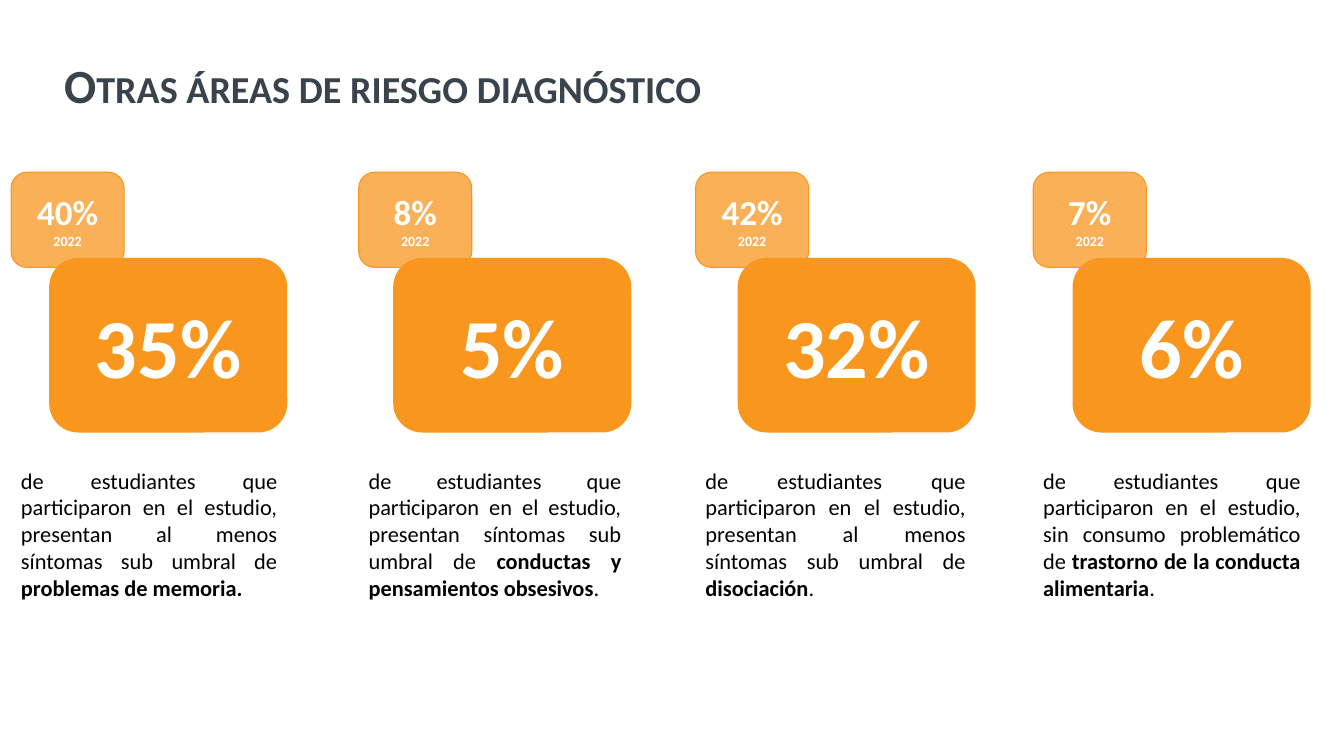
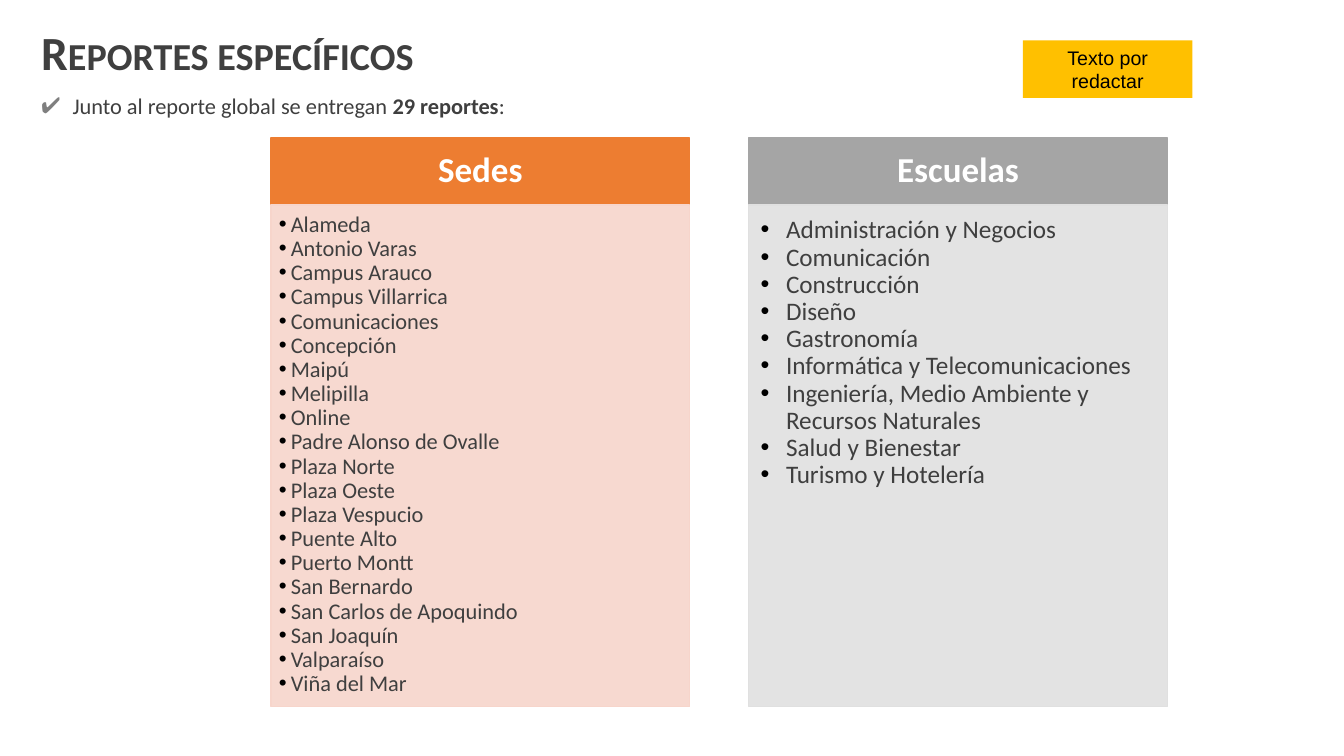
from pptx import Presentation
from pptx.dml.color import RGBColor
from pptx.enum.shapes import MSO_SHAPE
from pptx.enum.text import MSO_ANCHOR, PP_ALIGN
from pptx.oxml.ns import qn
from pptx.util import Cm, Pt
from lxml import etree

RECT, ROUND = MSO_SHAPE.RECTANGLE, MSO_SHAPE.ROUNDED_RECTANGLE
TOP, MIDDLE = MSO_ANCHOR.TOP, MSO_ANCHOR.MIDDLE
LEFT, CENTER, JUSTIFY = PP_ALIGN.LEFT, PP_ALIGN.CENTER, PP_ALIGN.JUSTIFY

# Shared colours, font and margins (cm: left, top, right, bottom)
ORANGE, SLATE, INK = "F8961E", "3A434C", "3F3F3F"
WHITE, BLACK = "FFFFFF", "000000"
FONT = "Calibri"
INSETS = (0.25, 0.13, 0.25, 0.13)

# Slide 1: left edges (badge and text, card), values, wording
STUDY = "de estudiantes que participaron en el estudio, "
RISKS = [
    (0.28, 1.24, "40%", "35%", "presentan al menos síntomas sub umbral de ",
     "problemas de memoria.", ""),
    (9.04, 9.91, "8%", "5%", "presentan síntomas sub umbral de ",
     "conductas y pensamientos obsesivos", "."),
    (17.53, 18.59, "42%", "32%", "presentan al menos síntomas sub umbral de ",
     "disociación", "."),
    (26.04, 27.03, "7%", "6%", "sin consumo problemático de ",
     "trastorno de la conducta alimentaria", "."),
]
CARD_W = 6.0

# Slide 2: lists
CAMPUSES = [
    "Alameda", "Antonio Varas", "Campus Arauco", "Campus Villarrica",
    "Comunicaciones", "Concepción", "Maipú", "Melipilla", "Online",
    "Padre Alonso de Ovalle", "Plaza Norte", "Plaza Oeste", "Plaza Vespucio",
    "Puente Alto", "Puerto Montt", "San Bernardo", "San Carlos de Apoquindo",
    "San Joaquín", "Valparaíso", "Viña del Mar",
]
SCHOOLS = [
    "Administración y Negocios", "Comunicación", "Construcción", "Diseño",
    "Gastronomía", "Informática y Telecomunicaciones",
    "Ingeniería, Medio Ambiente y Recursos Naturales", "Salud y Bienestar",
    "Turismo y Hotelería",
]


def rgb(color):
    return RGBColor.from_string(color)


# Text
def set_frame(shape, anchor=TOP, insets=INSETS):
    tf = shape.text_frame
    tf.word_wrap = True
    tf.vertical_anchor = anchor
    tf.margin_left, tf.margin_top, tf.margin_right, tf.margin_bottom = map(Cm, insets)
    return tf


def add_paragraph(tf, align=LEFT, spacing=None):
    first = tf.paragraphs[0]
    p = tf.add_paragraph() if first.runs else first
    p.alignment = align
    if spacing:
        p.line_spacing = spacing
    return p


def add_run(p, text, size, color, bold=False, font=FONT):
    r = p.add_run()
    r.text = text
    r.font.size, r.font.bold, r.font.name = Pt(size), bold, font
    r.font.color.rgb = rgb(color)
    return r


def add_bullet(p, char, color, indent):
    pPr = p._p.get_or_add_pPr()
    pPr.set("marL", str(Cm(indent)))
    pPr.set("indent", str(-Cm(indent)))
    clr = etree.SubElement(pPr, qn("a:buClr"))
    etree.SubElement(clr, qn("a:srgbClr"), val=color)
    etree.SubElement(pPr, qn("a:buFont"), typeface="Arial")
    etree.SubElement(pPr, qn("a:buChar"), char=char)


def add_textbox(s, x, y, w, h, anchor=TOP):
    return set_frame(s.shapes.add_textbox(Cm(x), Cm(y), Cm(w), Cm(h)), anchor)


def add_title(s, text, x, y, w, h, color):
    p = add_paragraph(add_textbox(s, x, y, w, h, MIDDLE), spacing=0.9)
    r = add_run(p, text, 34, color, True)
    r.font._element.set("cap", "small")


# Shapes
def add_box(s, kind, x, y, w, h, fill, alpha=100, line=None, line_width=1):
    sp = s.shapes.add_shape(kind, Cm(x), Cm(y), Cm(w), Cm(h))
    sp.shadow.inherit = False
    sp.fill.solid()
    sp.fill.fore_color.rgb = rgb(fill)
    if alpha < 100:
        clr = sp._element.spPr.find(qn("a:solidFill")).find(qn("a:srgbClr"))
        etree.SubElement(clr, qn("a:alpha"), val=str(alpha * 1000))
    if line:
        sp.line.color.rgb = rgb(line)
        sp.line.width = Pt(line_width)
    else:
        sp.line.fill.background()
    return sp


def add_card(s, x, value):
    sp = add_box(s, ROUND, x, 6.5, CARD_W, 4.4, ORANGE)
    add_run(add_paragraph(set_frame(sp, MIDDLE), CENTER), value, 60, WHITE, True)


def add_badge(s, x, value):
    sp = add_box(s, ROUND, x, 4.34, 2.85, 2.4, ORANGE, 75, ORANGE, 0.75)
    tf = set_frame(sp, MIDDLE)
    for text, size in ((value, 25), ("2022", 10)):
        add_run(add_paragraph(tf, CENTER), text, size, WHITE, True)


def add_panel(s, x, heading, items, color, tint, size, indent, insets):
    top, width, head_h = 3.48, 10.55, 1.69
    head = add_box(s, RECT, x, top, width, head_h, color, line=color)
    p = add_paragraph(set_frame(head, MIDDLE), CENTER, 0.9)
    add_run(p, heading, 25, WHITE, True)
    body = add_box(s, RECT, x, top + head_h, width, 12.64, tint, 90, tint)
    tf = set_frame(body, TOP, insets)
    for item in items:
        p = add_paragraph(tf, spacing=0.9)
        add_bullet(p, "•", BLACK, indent)
        add_run(p, item, size, INK)


# Slides
def build_risks(s):
    add_title(s, "Otras áreas de riesgo diagnóstico", 1.37, 1.02, 32.33, 2.39, SLATE)
    for x, card_x, before, now, lead, topic, end in RISKS:
        add_badge(s, x, before)
        add_card(s, card_x, now)
        # The text ends flush with the card
        tf = add_textbox(s, x, 11.63, card_x + CARD_W - x, 3.68)
        p = add_paragraph(tf, JUSTIFY)
        add_run(p, STUDY + lead, 16, BLACK)
        add_run(p, topic, 16, BLACK, True)
        if end:
            add_run(p, end, 16, BLACK)


def build_reports(s):
    p = add_paragraph(add_textbox(s, 0.79, 1.85, 31.14, 1.27), JUSTIFY, 1.5)
    add_bullet(p, "✔", "7F7F7F", 0.79)
    add_run(p, "Junto al reporte global se entregan ", 16, INK)
    add_run(p, "29 reportes", 16, INK, True)
    add_run(p, ":", 16, INK)
    add_title(s, "Reportes específicos", 0.79, -0.46, 32.33, 3.68, INK)
    add_panel(s, 6.83, "Sedes", CAMPUSES, "ED7D31", "F7D5CB", 16, 0.3,
              (0.2, 0.2, 0.28, 0.3))
    add_panel(s, 18.87, "Escuelas", SCHOOLS, "A5A5A5", "E0E0E0", 18, 0.64,
              (0.3, 0.3, 0.41, 0.46))
    # Pending-text tag
    tag = add_box(s, RECT, 25.78, 1.02, 4.27, 1.45, "FFC000")
    add_run(add_paragraph(set_frame(tag), CENTER), "Texto por redactar", 14, BLACK,
            font="Arial")


def main():
    prs = Presentation()
    prs.slide_width, prs.slide_height = Cm(33.87), Cm(19.05)
    for build in (build_risks, build_reports):
        build(prs.slides.add_slide(prs.slide_layouts[6]))
    prs.save("out.pptx")


if __name__ == "__main__":
    main()
